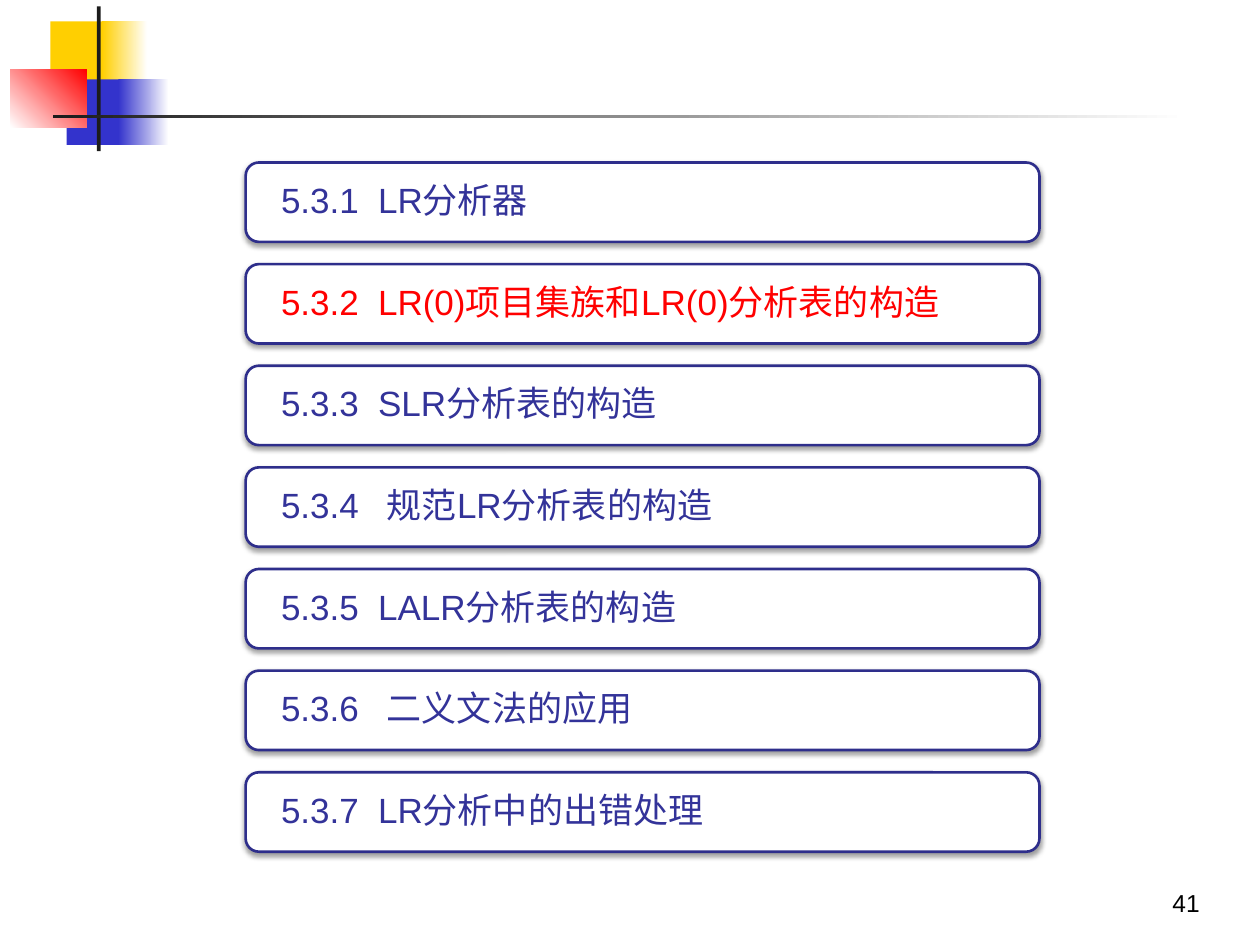
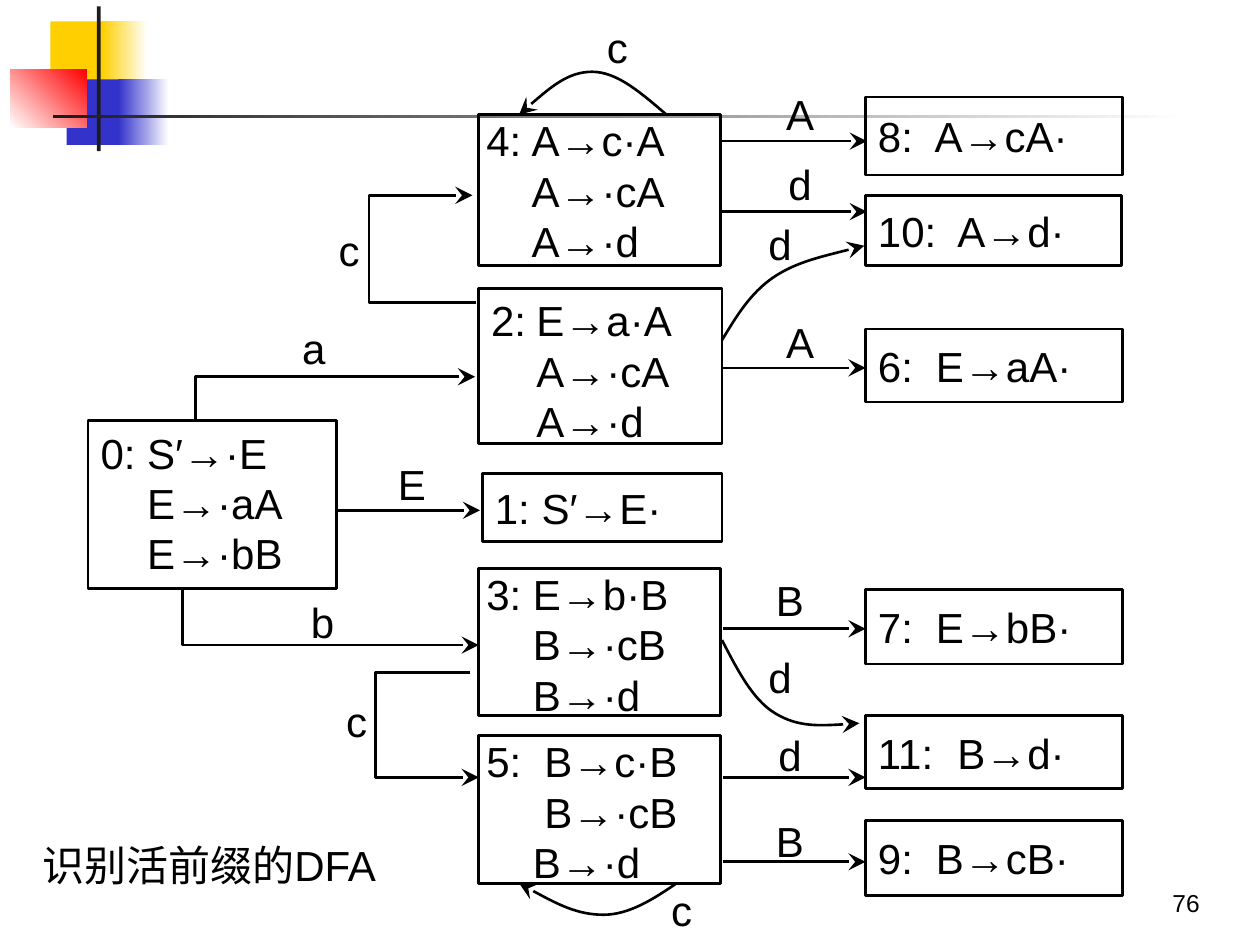
import pptx
import pptx.dml.color
import pptx.enum.shapes
import pptx.enum.text
import pptx.oxml
import pptx.oxml.ns
import pptx.util
from lxml import etree

Inches = pptx.util.Inches
Pt = pptx.util.Pt
SHAPE = pptx.enum.shapes.MSO_SHAPE
ALIGN = pptx.enum.text.PP_ALIGN
ANCHOR = pptx.enum.text.MSO_ANCHOR
qn = pptx.oxml.ns.qn

FONT = "Arial"
BLACK, WHITE, DARK = "000000", "FFFFFF", "1C1C1C"
YELLOW, BLUE, RED = "FFCF01", "3333CC", "FF0000"
NAVY, ROW_LINE = "333399", "2E2E8B"
LINE_WIDTH = 1.5

LOGO_PARTS = [
    (0.32, 0.12, 0.48, 0.52, YELLOW),
    (0.73, 0.12, 0.36, 0.52, (YELLOW, WHITE, 0)),
    (0.45, 0.58, 0.46, 0.52, BLUE),
    (0.86, 0.58, 0.4, 0.52, (BLUE, WHITE, 0)),
    (0, 0.5, 0.61, 0.46, (WHITE, RED, 45)),
    (0.69, 0, 0.03, 1.15, DARK),
    (0.34, 0.86, 9, 0.03, (DARK, WHITE, 0)),
]

SECTIONS = [
    ("5.3.1", "LR分析器"),
    ("5.3.2", "LR(0)项目集族和LR(0)分析表的构造"),
    ("5.3.3", "SLR分析表的构造"),
    ("5.3.4", "规范LR分析表的构造"),
    ("5.3.5", "LALR分析表的构造"),
    ("5.3.6", "二义文法的应用"),
    ("5.3.7", "LR分析中的出错处理"),
]

NORMAL, TIGHT = (0.1, 0.05, 0.1, 0.05), (0.06, 0, 0.1, 0.05)
ITEM_SETS = [
    (0, (0.7, 3.34, 1.97, 1.33), NORMAL, ["S′→·E", "E→·aA", "E→·bB"], [0.37] * 3),
    (4, (3.8, 0.91, 1.92, 1.2), TIGHT, ["A→c·A", "A→·cA", "A→·d"], [0.36] * 3),
    (2, (3.8, 2.29, 1.93, 1.23), NORMAL, ["E→a·A", "A→·cA", "A→·d"], [0.36] * 3),
    (3, (3.8, 4.51, 1.92, 1.17), TIGHT, ["E→b·B", "B→·cB", "B→·d"], [0.37] * 3),
    (5, (3.8, 5.84, 1.92, 1.17), TIGHT, ["B→c·B", "B→·cB", "B→·d"], [0.46, 0.46, 0.37]),
    (1, (3.83, 3.76, 1.9, 0.54), NORMAL, ["S′→E·"], [0.37]),
    (8, (6.87, 0.77, 2.04, 0.62), NORMAL, ["A→cA·"], [0.45]),
    (10, (6.87, 1.55, 2.03, 0.56), NORMAL, ["A→d·"], [0.63]),
    (6, (6.87, 2.61, 2.04, 0.58), NORMAL, ["E→aA·"], [0.46]),
    (7, (6.87, 4.68, 2.04, 0.59), NORMAL, ["E→bB·"], [0.46]),
    (11, (6.87, 5.68, 2.04, 0.58), NORMAL, ["B→d·"], [0.63]),
    (9, (6.87, 6.51, 2.04, 0.6), NORMAL, ["B→cB·"], [0.46]),
]

STRAIGHT_EDGES = [
    ("E", (2.98, 3.63), [(2.68, 4.05), (3.81, 4.05)]),
    ("A", (6.06, 0.69), [(5.73, 1.12), (6.88, 1.12)]),
    ("d", (6.06, 1.25), [(5.73, 1.68), (6.88, 1.68)]),
    ("A", (6.06, 2.5), [(5.74, 2.92), (6.87, 2.92)]),
    ("B", (5.98, 4.55), [(5.74, 4.99), (6.87, 4.99)]),
    ("d", (5.98, 5.78), [(5.74, 6.17), (6.87, 6.17)]),
    ("B", (5.98, 6.46), [(5.74, 6.84), (6.87, 6.84)]),
]
BENT_EDGES = [
    ("c", (2.48, 1.77), [(3.78, 2.4), (2.93, 2.4), (2.93, 1.55), (3.75, 1.55)]),
    ("c", (2.54, 5.51), [(3.73, 5.34), (2.98, 5.34), (2.98, 6.17), (3.8, 6.17)]),
    ("a", (2.2, 2.55), [(1.55, 3.34), (1.55, 2.99), (3.77, 2.99)]),
    ("b", (2.27, 4.72), [(1.45, 4.68), (1.45, 5.12), (3.8, 5.12)]),
]
CURVED_EDGES = [
    ("c", (4.61, 0.16), [(5.29, 0.91), (5.09, 0.74), (4.9, 0.57), (4.7, 0.57),
                         (4.51, 0.57), (4.31, 0.74), (4.12, 0.91)]),
    ("c", (5.12, 7.01), [(5.37, 7.01), (5.18, 7.14), (4.99, 7.26), (4.79, 7.26),
                         (4.58, 7.26), (4.35, 7.14), (4.12, 7.01)]),
    ("d", (5.9, 1.72), [(5.73, 2.7), (5.84, 2.52), (5.95, 2.33), (6.14, 2.2),
                        (6.32, 2.08), (6.59, 2.02), (6.86, 1.95)]),
    ("d", (5.9, 5.16), [(5.73, 5.08), (5.85, 5.31), (5.97, 5.55), (6.15, 5.66),
                        (6.33, 5.77), (6.58, 5.76), (6.82, 5.74)]),
]


def rgb(color):
    """Turn a hex string into a colour."""
    return pptx.dml.color.RGBColor.from_string(color)


def set_all(target, values):
    """Set every attribute named in a dict."""
    for name, value in values.items():
        setattr(target, name, value)


def paint(shape, fill=None, line=None):
    """Give a shape a plain or gradient fill and an outline."""
    shape.shadow.inherit = False
    if fill is None:
        shape.fill.background()
    elif isinstance(fill, tuple):
        shape.fill.gradient()
        shape.fill.gradient_angle = fill[2]
        for stop, color in zip(shape.fill.gradient_stops, fill):
            stop.color.rgb = rgb(color)
    else:
        shape.fill.solid()
        shape.fill.fore_color.rgb = rgb(fill)
    if line is None:
        shape.line.fill.background()
    else:
        shape.line.color.rgb = rgb(line)
        shape.line.width = Pt(LINE_WIDTH)


def add_box(s, kind, box, fill=None, line=None):
    """Add a painted preset shape."""
    sp = s.shapes.add_shape(kind, *map(Inches, box))
    paint(sp, fill, line)
    return sp


def write(sp, lines, size, color=BLACK, inset=NORMAL, wrap=True,
          anchor=ANCHOR.MIDDLE, indents=None, **paragraph):
    """Write lines in a shape; a tab in a line sets a hanging indent."""
    tf = sp.text_frame
    sides = ("margin_left", "margin_top", "margin_right", "margin_bottom")
    set_all(tf, dict(zip(sides, map(Inches, inset))))
    set_all(tf, {"word_wrap": wrap, "vertical_anchor": anchor})
    for i, text in enumerate(lines):
        p = tf.paragraphs[0] if i == 0 else tf.add_paragraph()
        set_all(p, {"alignment": ALIGN.LEFT, **paragraph})
        if indents:
            pPr = p._p.get_or_add_pPr()
            pPr.set("marL", str(Inches(indents[i])))
            pPr.set("indent", str(-Inches(indents[i]) if "\t" in text else 0))
        r = p.add_run()
        r.text = text
        set_all(r.font, {"name": FONT, "size": Pt(size)})
        r.font.color.rgb = rgb(color)


def add_label(s, text, box, size=24, **options):
    """Add a text box with one line."""
    write(s.shapes.add_textbox(*map(Inches, box)), [text], size, **options)


def add_arrowhead(shape):
    """Put a large stealth head on the end of a line."""
    ln = shape.line._get_or_add_ln()
    etree.SubElement(ln, qn("a:tailEnd"), type="stealth", w="lg", len="lg")


def add_straight(s, points):
    """Add a straight arrow."""
    ends = [Inches(v) for point in points for v in point]
    c = s.shapes.add_connector(pptx.enum.shapes.MSO_CONNECTOR.STRAIGHT, *ends)
    c.line.color.rgb = rgb(BLACK)
    c.line.width = Pt(LINE_WIDTH)
    add_arrowhead(c)
    etree.SubElement(c._element.spPr, qn("a:effectLst"))


def add_bent(s, points):
    """Add an arrow through the given points."""
    emu = [(Inches(x), Inches(y)) for x, y in points]
    builder = s.shapes.build_freeform(*emu[0])
    builder.add_line_segments(emu[1:], close=False)
    sp = builder.convert_to_shape()
    paint(sp, line=BLACK)
    add_arrowhead(sp)
    return sp


def add_curved(s, points):
    """Add an arrow of cubic curves, three points to a curve."""
    sp = add_bent(s, points)
    steps = list(sp._element.iter(qn("a:lnTo")))
    for i in range(0, len(steps), 3):
        curve = etree.Element(qn("a:cubicBezTo"))
        steps[i].addprevious(curve)
        for step in steps[i:i + 3]:
            curve.append(step[0])
            step.getparent().remove(step)


def add_soft_shadow(sp):
    """Give a shape a soft shadow below it."""
    effects = sp._element.spPr.find(qn("a:effectLst"))
    shadow = etree.SubElement(effects, qn("a:outerShdw"), blurRad=str(Pt(3.1)),
                              dist=str(Pt(1.6)), dir="5400000", rotWithShape="0")
    color = etree.SubElement(shadow, qn("a:srgbClr"), val=BLACK)
    etree.SubElement(color, qn("a:alpha"), val="38000")


def add_frame(s, box, number):
    """Draw the corner squares, the rules and the page number."""
    x, y, w, h = box
    for dx, dy, pw, ph, fill in LOGO_PARTS:
        add_box(s, SHAPE.RECTANGLE, (x + 0.08 + dx, y + 0.05 + dy, pw, ph), fill)
    add_label(s, str(number), (x + w - 2.46, y + h - 0.67, 2.08, 0.5), 14,
              anchor=ANCHOR.BOTTOM, alignment=ALIGN.RIGHT)


def add_agenda(s, box, current):
    """List the sections in equal rows, with the current one in red."""
    x, y, w, h = box
    row_h = 0.63
    pitch = (h - row_h) / (len(SECTIONS) - 1)
    for i, (number, title) in enumerate(SECTIONS):
        row = add_box(s, SHAPE.ROUNDED_RECTANGLE, (x, y + i * pitch, w, row_h),
                      WHITE, ROW_LINE)
        add_soft_shadow(row)
        indent = 0.77 if title[0].isascii() else 0.84
        write(row, [f"{number}\t{title}"], 20, RED if number == current else NAVY,
              inset=(0.25, 0, 0.2, 0), indents=[indent], line_spacing=0.9)


def add_automaton(s, box):
    """Draw the item sets, the labelled edges and the caption."""
    x, y = box[:2]
    for number, (bx, by, w, h), inset, items, indents in ITEM_SETS:
        sp = add_box(s, SHAPE.RECTANGLE, (x + bx, y + by, w, h), line=BLACK)
        anchor = ANCHOR.TOP if len(items) > 1 else ANCHOR.MIDDLE
        write(sp, [f"{number}:\t{items[0]}", *items[1:]], 24, inset=inset,
              anchor=anchor, indents=indents)
    for draw, edges in ((add_straight, STRAIGHT_EDGES), (add_bent, BENT_EDGES),
                        (add_curved, CURVED_EDGES)):
        for label, (lx, ly), points in edges:
            draw(s, [(x + px, y + py) for px, py in points])
            add_label(s, label, (x + lx, y + ly, 0.58, 0.42), wrap=False,
                      alignment=ALIGN.CENTER)
    add_label(s, "识别活前缀的DFA", (x + 0.12, y + 6.56, 3.08, 0.6), wrap=False,
              alignment=ALIGN.CENTER)


def main():
    """Build both slides and save them."""
    prs = pptx.Presentation()
    set_all(prs, {"slide_width": Inches(10), "slide_height": Inches(7.5)})
    page = (0, 0, 10, 7.5)
    blank = prs.slide_layouts[6]

    s = prs.slides.add_slide(blank)
    add_frame(s, page, 41)
    add_agenda(s, (1.95, 1.29, 6.3, 5.47), "5.3.2")

    s = prs.slides.add_slide(blank)
    add_frame(s, page, 76)
    add_automaton(s, page)

    prs.save("out.pptx")


if __name__ == "__main__":
    main()
